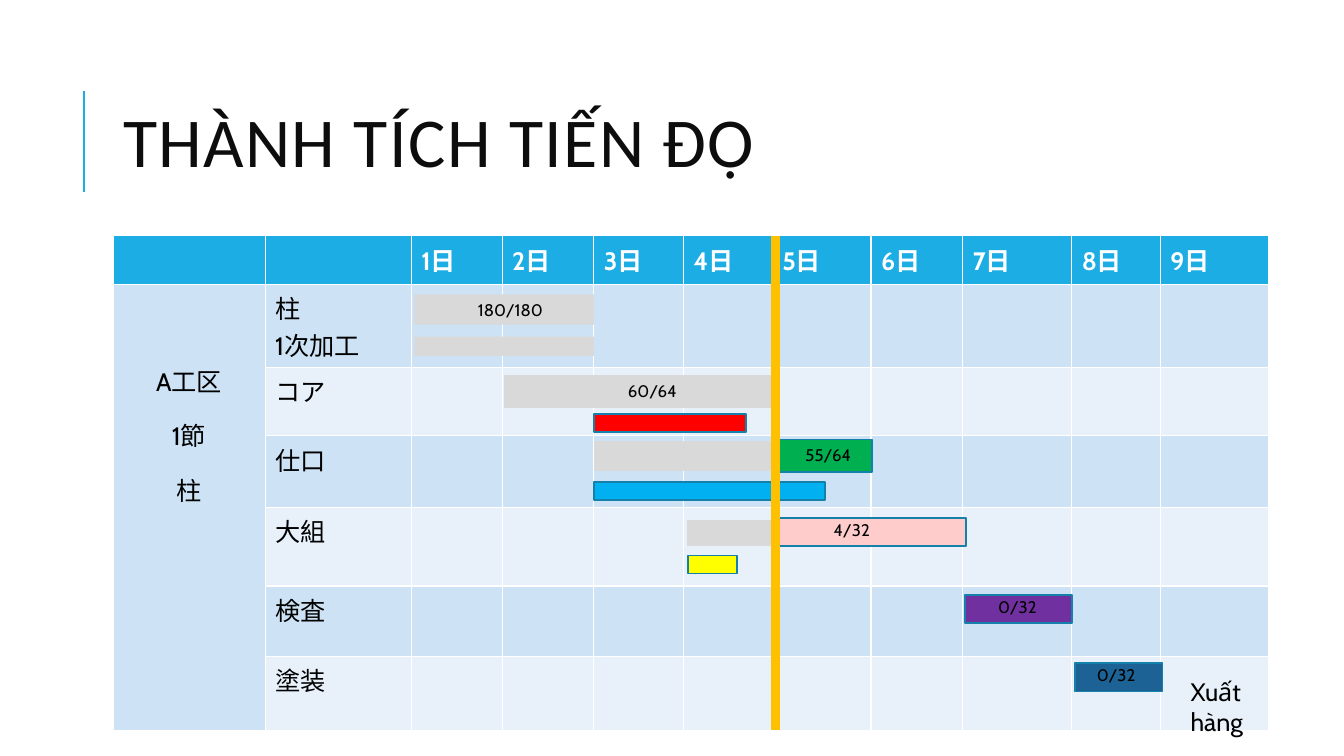
import pptx
import pptx.util
import pptx.dml.color
import pptx.enum.shapes
import pptx.enum.text
import pptx.oxml.ns
import lxml.etree

PX = 9144  # 100 px to the inch
HUE = {
    "accent": "1CADE4", "edge": "1580A9", "title": "0D0D0D",
    "black": "000000", "white": "FFFFFF", "band": "CDE3F5", "pale": "E8F1FA",
    "gray": "D9D9D9", "red": "FF0000", "yellow": "FFFF00", "blue": "00B0F0",
    "green": "00B050", "pink": "FFCCCC", "purple": "7030A0",
    "navy": "1D6294", "now": "FFC000",
}
ALIGN = pptx.enum.text.PP_ALIGN
ANCHOR = pptx.enum.text.MSO_ANCHOR
SHAPE = pptx.enum.shapes.MSO_SHAPE

COLS = [151, 145, 90, 91, 89, 88, 98, 91, 108, 88, 107]
ROWS = [48, 82, 68, 71, 78, 70, 73]
STEPS = ["柱\n1次加工", "コア", "仕口", "大組", "検査", "塗装"]
AREA = "A工区\n1節\n柱"

# Offsets from the chart corner: x, y, width, height, fill, outlined
PLAN = [
    (388, 138, 269, 33, "gray", False),
    (657, 202, 96, 32, "green", True),
    (657, 280, 189, 28, "pink", True),
    (845, 356, 106, 28, "purple", True),
    (954, 424, 87, 28, "navy", True),
    (477, 204, 176, 29, "gray", False),
    (569, 282, 84, 26, "gray", False),
]
ACTUAL = [
    (299, 100, 178, 19, "gray", False),
    (477, 177, 151, 18, "red", True),
    (570, 317, 49, 18, "yellow", True),
    (477, 244, 229, 18, "blue", True),
]
# Offsets, text, size
LABELS = [
    (501, 139, 91, 30, "60/64", 12),
    (677, 202, 73, 30, "55/64", 12),
    (705, 277, 63, 28, "4/32", 12),
    (868, 353, 98, 39, "0/32", 12),
    (966, 421, 97, 39, "0/32", 12),
    (1059, 432, 81, 71, "Xuất hàng", 18),
]


def rgb(name):
    return pptx.dml.color.RGBColor.from_string(HUE[name])


def write(frame, text, size=18, font="Cabin", hue="black", bold=False,
          align=ALIGN.LEFT, lead=None, track=None):
    for i, line in enumerate(text.split("\n")):
        para = frame.paragraphs[0] if i == 0 else frame.add_paragraph()
        para.alignment = align
        para.line_spacing = lead
        run = para.add_run()
        run.text = line
        run.font.size = pptx.util.Pt(size)
        run.font.name = font
        run.font.bold = bold
        run.font.color.rgb = rgb(hue)
        if track:
            run._r.get_or_add_rPr().set("spc", str(track))


def rule(slide, x, y, height, hue, width):
    line = slide.shapes.add_connector(
        pptx.enum.shapes.MSO_CONNECTOR.STRAIGHT,
        x * PX, y * PX, x * PX, (y + height) * PX)
    line.line.color.rgb = rgb(hue)
    line.line.width = pptx.util.Pt(width)
    lxml.etree.SubElement(line._element.spPr, pptx.oxml.ns.qn("a:effectLst"))


def bar(slide, kind, x, y, width, height, hue, edge):
    shape = slide.shapes.add_shape(kind, x * PX, y * PX, width * PX, height * PX)
    shape.shadow.inherit = False
    shape.fill.solid()
    shape.fill.fore_color.rgb = rgb(hue)
    if edge:
        shape.line.color.rgb = rgb("edge")
        shape.line.width = pptx.util.Pt(1.25)
    else:
        shape.line.fill.background()
    return shape


def label(slide, x, y, width, height, text, size):
    box = slide.shapes.add_textbox(x * PX, y * PX, width * PX, height * PX)
    box.text_frame.word_wrap = True
    write(box.text_frame, text, size=size)


def head(slide, x, y, width, height):
    rule(slide, x - 29, y + 26, 100, "accent", 1.5)
    title = slide.shapes.title
    title.left, title.top = x * PX, y * PX
    title.width, title.height = width * PX, height * PX
    frame = title.text_frame
    frame.auto_size = pptx.enum.text.MSO_AUTO_SIZE.NONE
    frame.vertical_anchor = ANCHOR.MIDDLE
    write(frame, "THÀNH TÍCH TIẾN ĐỘ", size=50, font="Calibri",
          hue="title", lead=0.8, track=100)


def grid(slide, x, y):
    table = slide.shapes.add_table(
        len(ROWS), len(COLS), x * PX, y * PX, sum(COLS) * PX, sum(ROWS) * PX).table
    for col, width in zip(table.columns, COLS):
        col.width = width * PX
    for r, height in enumerate(ROWS):
        table.rows[r].height = height * PX
        hue = "accent" if r == 0 else "band" if r % 2 else "pale"
        for c in range(len(COLS)):
            cell = table.cell(r, c)
            cell.fill.solid()
            cell.fill.fore_color.rgb = rgb(hue)
            if r == 0 and c > 1:
                write(cell.text_frame, f"{c - 1}日", hue="white", bold=True)
            elif r > 0 and c == 1:
                write(cell.text_frame, STEPS[r - 1])
    # Work area, spanning every step
    area = table.cell(1, 0)
    area.merge(table.cell(len(ROWS) - 1, 0))
    area.margin_top = 59 * PX
    write(area.text_frame, AREA, align=ALIGN.CENTER, lead=1.5)


def gantt(slide, x, y):
    grid(slide, x, y)
    # First step's bar carries its own count
    first = bar(slide, SHAPE.RECTANGLE, x + 299, y + 58, 178, 30, "gray", False)
    first.text_frame.margin_left = 63 * PX
    first.text_frame.vertical_anchor = ANCHOR.MIDDLE
    write(first.text_frame, "180/180", size=12)
    # Planned and actual bars
    for kind, bars in ((SHAPE.FLOWCHART_PROCESS, PLAN), (SHAPE.RECTANGLE, ACTUAL)):
        for dx, dy, *rest in bars:
            bar(slide, kind, x + dx, y + dy, *rest)
    # Counts and shipping note
    for dx, dy, *rest in LABELS:
        label(slide, x + dx, y + dy, *rest)
    # Current day
    rule(slide, x + 657, y, sum(ROWS), "now", 6)


def main():
    deck = pptx.Presentation()
    deck.slide_width, deck.slide_height = 1333 * PX, 750 * PX
    slide = deck.slides.add_slide(deck.slide_layouts[5])
    head(slide, 112, 64, 1063, 164)
    gantt(slide, 112, 234)
    deck.save("out.pptx")


if __name__ == "__main__":
    main()
